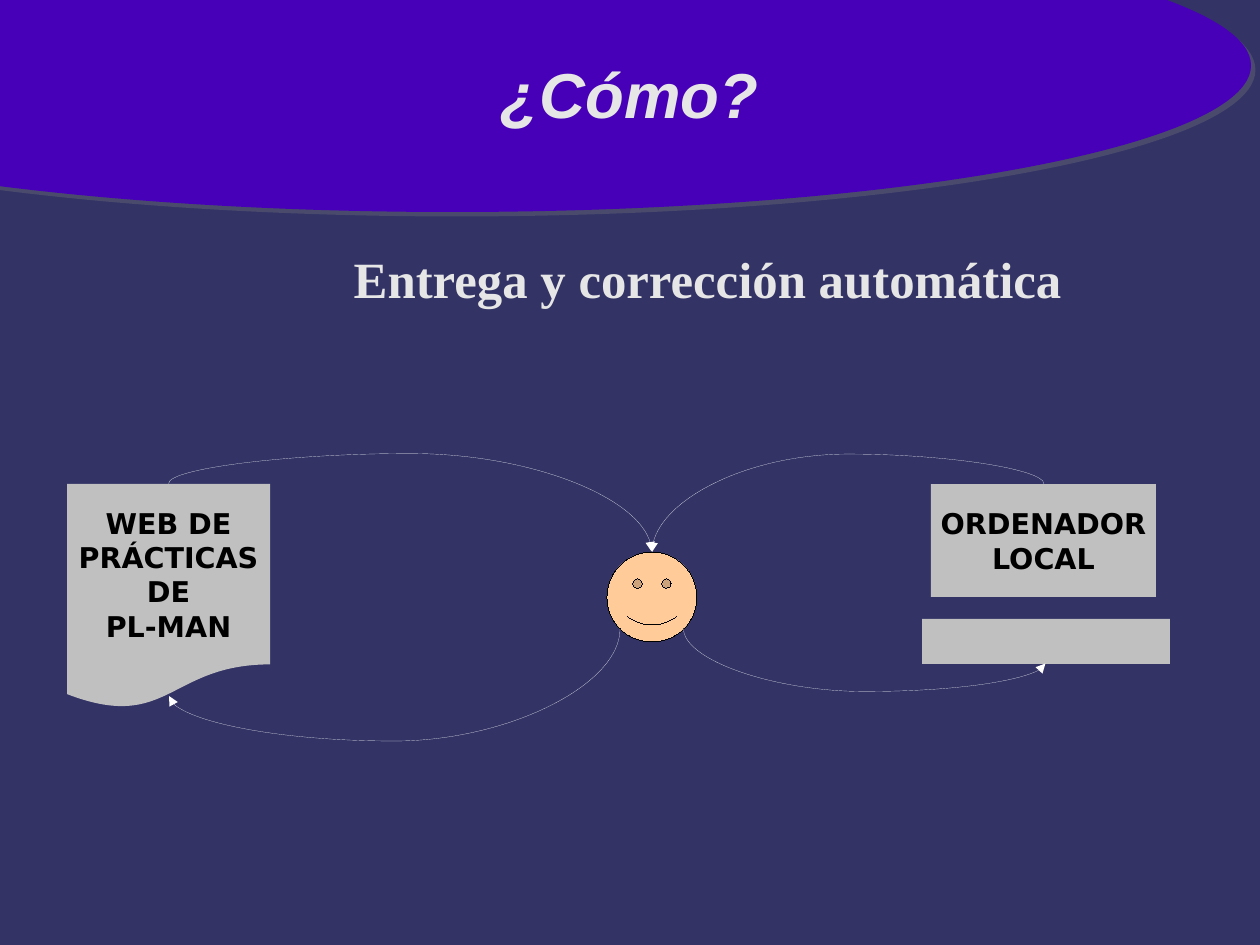
from dataclasses import dataclass

from pptx import Presentation
from pptx import util as u
from pptx.dml.color import RGBColor
from pptx.enum import shapes, text
from pptx.oxml import parse_xml
from pptx.oxml.ns import nsdecls, qn

PX = 8000  # EMU; the page is 1260 by 945 px


def px(value: int) -> u.Emu:
    return u.Emu(value * PX)


@dataclass(frozen=True)
class Style:
    font: str
    size: int
    color: str
    italic: bool = False


@dataclass(frozen=True)
class Theme:
    background: str = "333366"
    banner: str = "4700B8"
    shadow: str = "808080"
    panel: str = "C0C0C0"
    skin: str = "FFCC99"
    outline: str = "000000"
    arrow: str = "FFFFFF"
    title: Style = Style("Arial", 40, "E6E6E6", italic=True)
    subtitle: Style = Style("Times New Roman", 32, "E6E6E6")
    label: Style = Style("DejaVu Sans", 18, "000000")


THEME = Theme()


@dataclass(frozen=True)
class Box:
    left: int
    top: int
    width: int
    height: int

    def emu(self) -> tuple:
        return tuple(map(px, (self.left, self.top, self.width, self.height)))


@dataclass(frozen=True)
class Figure:
    preset: shapes.MSO_SHAPE
    box: Box
    fill: str
    lines: tuple = ()
    outline: str = ""


@dataclass(frozen=True)
class Heading:
    words: str
    box: Box
    style: Style
    anchor: text.MSO_ANCHOR


@dataclass(frozen=True)
class Arrow:
    start: tuple
    end: tuple
    bend: int  # height at which the curve turns


FORM = shapes.MSO_SHAPE
BANNER = Figure(FORM.OVAL, Box(-346, -81, 1597, 293), THEME.banner)
HEADINGS = (
    Heading("¿Cómo?", Box(92, 14, 1075, 158), THEME.title, text.MSO_ANCHOR.MIDDLE),
    Heading("Entrega y corrección automática", Box(247, 248, 922, 89),
            THEME.subtitle, text.MSO_ANCHOR.TOP),
)
FIGURES = (
    Figure(FORM.FLOWCHART_DOCUMENT, Box(67, 484, 203, 225), THEME.panel,
           ("WEB DE", "PRÁCTICAS", "DE", "PL-MAN")),
    Figure(FORM.SMILEY_FACE, Box(607, 552, 90, 90), THEME.skin, outline=THEME.outline),
    Figure(FORM.RECTANGLE, Box(931, 484, 225, 113), THEME.panel, ("ORDENADOR", "LOCAL")),
    Figure(FORM.RECTANGLE, Box(922, 619, 248, 45), THEME.panel),
)
HEAD = (652, 552)
ARROWS = (
    Arrow((620, 629), (169, 696), 741),
    Arrow((169, 484), HEAD, 454),
    Arrow((684, 629), (1046, 664), 692),
    Arrow((1044, 484), HEAD, 454),
)


def set_values(target, values: dict) -> None:
    for name, value in values.items():
        setattr(target, name, value)


def write(frame, lines: tuple, style: Style, margins: tuple, **layout) -> None:
    sides = ("margin_left", "margin_top", "margin_right", "margin_bottom")
    set_values(frame, {**dict(zip(sides, map(px, margins))), **layout})
    for number, line in enumerate(lines):
        para = frame.add_paragraph() if number else frame.paragraphs[0]
        para.alignment = text.PP_ALIGN.CENTER
        span = para.add_run()
        span.text = line
        set_values(span.font, {"name": style.font, "size": u.Pt(style.size),
                               "bold": True, "italic": style.italic})
        span.font.color.rgb = RGBColor.from_string(style.color)


def draw_hairline(shape, color: str) -> None:
    shape.line.color.rgb = RGBColor.from_string(color)
    shape._element.spPr.find(qn("a:ln")).set("w", "0")


def draw_figure(page, figure: Figure):
    shape = page.shapes.add_shape(figure.preset, *figure.box.emu())
    shape.shadow.inherit = False
    shape.fill.solid()
    shape.fill.fore_color.rgb = RGBColor.from_string(figure.fill)
    if figure.outline:
        draw_hairline(shape, figure.outline)
    else:
        shape.line.fill.background()
    if figure.lines:
        write(shape.text_frame, figure.lines, THEME.label, (11, 6, 11, 6),
              word_wrap=False, vertical_anchor=text.MSO_ANCHOR.MIDDLE)
    return shape


def add_shadow(shape) -> None:
    effects = shape._element.spPr.find(qn("a:effectLst"))
    effects.append(parse_xml(
        f'<a:outerShdw {nsdecls("a")} dist="{u.Pt(4)}" dir="2700000" algn="tl" '
        f'rotWithShape="0"><a:srgbClr val="{THEME.shadow}">'
        '<a:alpha val="30000"/></a:srgbClr></a:outerShdw>'))


def draw_heading(page, heading: Heading) -> None:
    box = page.shapes.add_textbox(*heading.box.emu())
    write(box.text_frame, (heading.words,), heading.style, (0, 0, 0, 0),
          word_wrap=True, vertical_anchor=heading.anchor)


def draw_arrow(page, arrow: Arrow) -> None:
    """Draw a downward curve that leaves and arrives vertically."""
    (x1, y1), (x2, y2) = arrow.start, arrow.end
    drop, reach = y2 - y1, abs(x2 - x1)
    left, top = (x1 + x2 - drop) // 2, (y1 + y2 - reach) // 2
    line = page.shapes.add_connector(
        shapes.MSO_CONNECTOR.CURVE, *map(px, (left, top, left + drop, top + reach)))
    draw_hairline(line, THEME.arrow)

    # Quarter turn, bend and arrowhead
    props = line._element.spPr
    frame = props.find(qn("a:xfrm"))
    frame.set("rot", str((270 if x2 > x1 else 90) * 60000))
    if x2 > x1:
        frame.set("flipH", "1")
    bend = round((arrow.bend - y1) / drop * 100000)
    props.find(qn("a:prstGeom")).find(qn("a:avLst")).append(parse_xml(
        f'<a:gd {nsdecls("a")} name="adj1" fmla="val {bend}"/>'))
    props.find(qn("a:ln")).append(parse_xml(
        f'<a:tailEnd {nsdecls("a")} type="triangle"/>'))
    props.append(parse_xml(f'<a:effectLst {nsdecls("a")}/>'))


def main() -> None:
    deck = Presentation()
    set_values(deck, {"slide_width": px(1260), "slide_height": px(945)})
    page = deck.slides.add_slide(deck.slide_layouts[6])
    page.background.fill.solid()
    page.background.fill.fore_color.rgb = RGBColor.from_string(THEME.background)

    # Banner and headings
    add_shadow(draw_figure(page, BANNER))
    for heading in HEADINGS:
        draw_heading(page, heading)

    # Web, student and computer, joined by arrows
    for figure in FIGURES:
        draw_figure(page, figure)
    for arrow in ARROWS:
        draw_arrow(page, arrow)

    deck.save("out.pptx")


if __name__ == "__main__":
    main()
